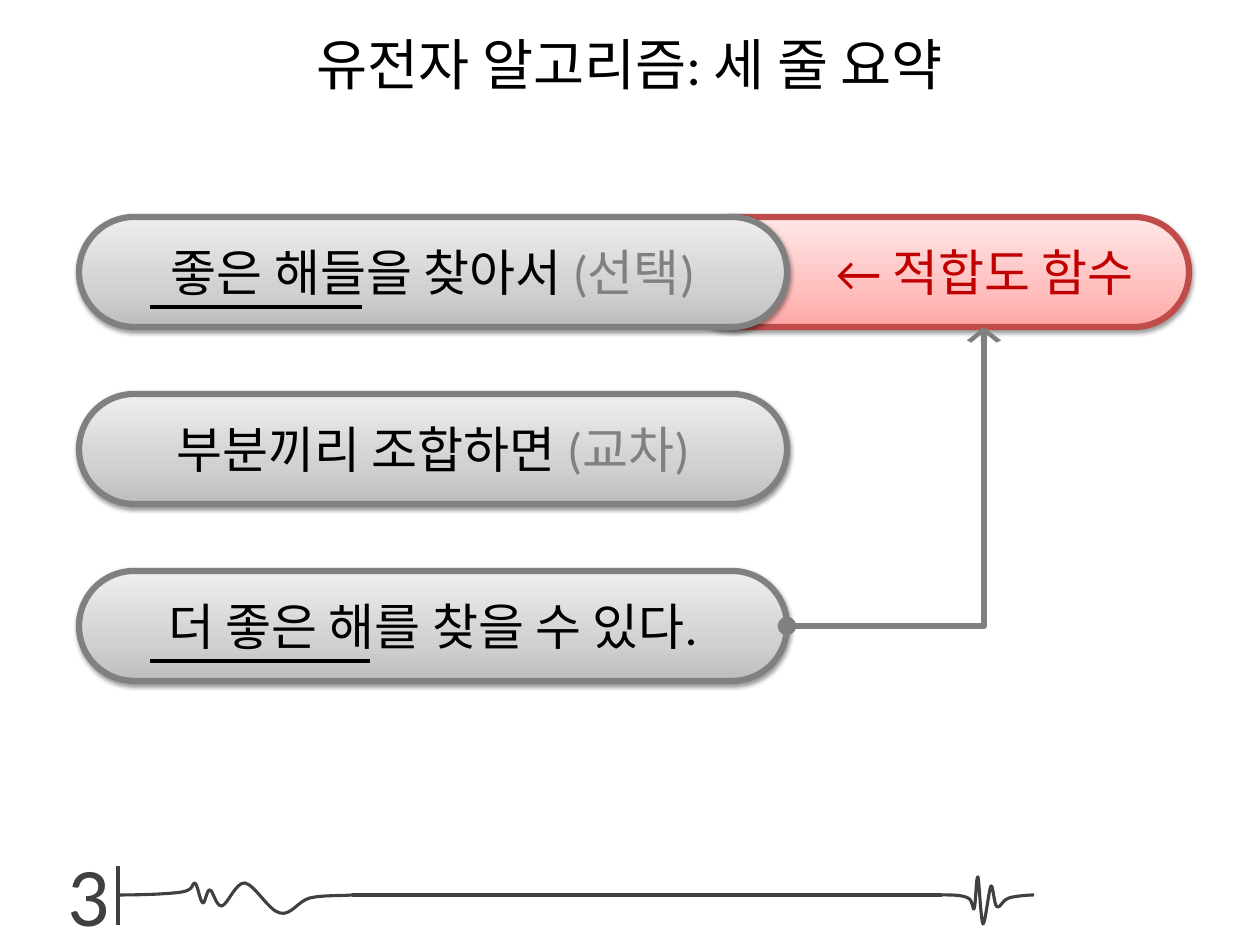
from dataclasses import dataclass

from lxml import etree
from pptx import Presentation
from pptx.dml.color import RGBColor
from pptx.enum.shapes import MSO_CONNECTOR, MSO_SHAPE
from pptx.enum.text import MSO_ANCHOR, PP_ALIGN
from pptx.oxml import parse_xml
from pptx.oxml.ns import nsdecls, qn
from pptx.util import Inches, Pt

STRAIGHT, ELBOW = MSO_CONNECTOR.STRAIGHT, MSO_CONNECTOR.ELBOW
PILL = MSO_SHAPE.ROUNDED_RECTANGLE
MIDDLE, TOP = MSO_ANCHOR.MIDDLE, MSO_ANCHOR.TOP
CENTER, RIGHT = PP_ALIGN.CENTER, PP_ALIGN.RIGHT


@dataclass(frozen=True)
class Theme:
    font: str = "Calibri"
    ink: str = "000000"
    gray: str = "808080"
    red: str = "C00000"
    edge: str = "BF4C48"
    dark: str = "404040"
    silver: tuple = ((0, "BDBDBD"), (35, "D1D1D1"), (100, "EEEEEE"))
    rose: tuple = ((0, "FFA6A5"), (35, "FFC0BF"), (100, "FFE7E7"))
    title: float = 40
    body: float = 36
    page: float = 60
    thin: float = 2.25
    thick: float = 4.5


THEME = Theme()

TITLE = "유전자 알고리즘: 세 줄 요약"
PAGE = "3"
NOTE = [("← 적합도 함수", THEME.red)]
STEPS = [
    [("좋은 해들을 찾아서 ", THEME.ink), ("(선택)", THEME.gray)],
    [("부분끼리 조합하면 ", THEME.ink), ("(교차)", THEME.gray)],
    [("더 좋은 해를 찾을 수 있다.", THEME.ink)],
]
MARKS = [(0, 2.12), (2, 2.2)]
WAVES = [
    [(1.18, 8.95),
     (1.44, 8.95), (1.69, 8.94), (1.82, 8.92), (1.95, 8.9), (1.92, 8.82), (1.95, 8.83),
     (1.98, 8.85), (2, 9.02), (2.03, 9.03), (2.05, 9.04), (2.07, 8.89), (2.1, 8.9),
     (2.13, 8.9), (2.16, 9.07), (2.22, 9.06), (2.28, 9.04), (2.36, 8.82), (2.45, 8.83),
     (2.55, 8.85), (2.69, 9.11), (2.8, 9.13), (2.91, 9.16), (2.98, 9.01), (3.1, 8.98),
     (3.22, 8.95), (3.42, 8.96), (3.52, 8.95)],
    [(9.42, 8.95),
     (9.52, 8.95), (9.62, 8.95), (9.68, 8.98), (9.73, 9), (9.73, 9.12), (9.74, 9.09),
     (9.76, 9.05), (9.76, 8.75), (9.78, 8.77), (9.79, 8.8), (9.81, 9.22), (9.83, 9.24),
     (9.85, 9.25), (9.89, 8.89), (9.91, 8.86), (9.93, 8.84), (9.94, 9.05), (9.97, 9.07),
     (10, 9.09), (10.03, 8.99), (10.09, 8.98), (10.15, 8.96), (10.3, 8.95), (10.34, 8.95)],
]
TIPS = {
    "a:headEnd": {"type": "oval"},
    "a:tailEnd": {"type": "arrow", "w": "lg", "len": "sm"},
}

LEFT, FIRST, PITCH = 0.79, 2.17, 1.77
WIDE, HIGH = 7.08, 1.1
BASE = 8.95


def write(shape, runs, size, align, anchor, pads):
    frame = shape.text_frame
    sides = ("margin_left", "margin_top", "margin_right", "margin_bottom")
    look = dict(zip(sides, map(Inches, pads)), word_wrap=True, vertical_anchor=anchor)
    for name, value in look.items():
        setattr(frame, name, value)
    para = frame.paragraphs[0]
    para.alignment = align
    for text, color in runs:
        run = para.add_run()
        run.text = text
        for name, value in {"name": THEME.font, "size": Pt(size)}.items():
            setattr(run.font, name, value)
        run.font.color.rgb = RGBColor.from_string(color)
        latin = run.font._element.find(qn("a:latin"))
        latin.addnext(parse_xml(f'<a:ea {nsdecls("a")} typeface="{THEME.font}"/>'))


def stroke(shape, color, width):
    shape.line.color.rgb = RGBColor.from_string(color)
    shape.line.width = Pt(width)


def shade(shape, stops):
    shape.fill.solid()
    marks = "".join(
        f'<a:gs pos="{pos * 1000}"><a:srgbClr val="{color}"/></a:gs>' for pos, color in stops)
    props = shape.element.spPr
    props.replace(props.find(qn("a:solidFill")), parse_xml(
        f'<a:gradFill {nsdecls("a")} rotWithShape="1"><a:gsLst>{marks}</a:gsLst>'
        '<a:lin ang="16200000" scaled="0"/></a:gradFill>'))
    shape.shadow.inherit = False
    props.find(qn("a:effectLst")).append(parse_xml(
        f'<a:outerShdw {nsdecls("a")} blurRad="{Pt(3.1)}" dist="{Pt(1.6)}" dir="5400000"'
        ' rotWithShape="0"><a:srgbClr val="000000"><a:alpha val="38000"/></a:srgbClr>'
        '</a:outerShdw>'))


def pill(slide, box, runs, stops, edge, align=CENTER, pad=0):
    shape = slide.shapes.add_shape(PILL, *map(Inches, box))
    shape.adjustments[0] = 0.5
    stroke(shape, edge, THEME.thick)
    shade(shape, stops)
    write(shape, runs, THEME.body, align, MIDDLE, (0, 0, pad, 0))


def join(slide, kind, start, end, color, width):
    line = slide.shapes.add_connector(kind, *map(Inches, start + end))
    stroke(line, color, width)
    etree.SubElement(line.element.spPr, qn("a:effectLst"))
    return line


def bend(shape):
    track = next(shape.element.iter(qn("a:path")))
    legs = track.findall(qn("a:lnTo"))
    for at in range(0, len(legs), 3):
        curve = etree.SubElement(track, qn("a:cubicBezTo"))
        for leg in legs[at:at + 3]:
            curve.append(leg[0])
            track.remove(leg)


def wave(slide, knots):
    dots = [(Inches(x), Inches(y)) for x, y in knots]
    pen = slide.shapes.build_freeform(*dots[0])
    pen.add_line_segments(dots[1:], close=False)
    shape = pen.convert_to_shape()
    bend(shape)
    shape.fill.background()
    shape.shadow.inherit = False
    stroke(shape, THEME.dark, THEME.thin)


def footer(slide):
    page = slide.shapes.add_textbox(*map(Inches, (0, 8.43, 1.1, 1.01)))
    write(page, [(PAGE, THEME.dark)], THEME.page, RIGHT, TOP, (0, 0, 0, 0))
    for knots in WAVES:
        wave(slide, knots)
    for start, end in [((3.52, BASE), (9.42, BASE)), ((1.18, 9.25), (1.18, 8.66))]:
        join(slide, STRAIGHT, start, end, THEME.dark, THEME.thin)


def main():
    deck = Presentation()
    deck.slide_width, deck.slide_height = Inches(12.6), Inches(9.45)
    slide = deck.slides.add_slide(deck.slide_layouts[5])

    title = slide.shapes.title
    spot = {"left": 0.08, "top": 0.08, "width": 12.44, "height": 1.1}
    for name, value in spot.items():
        setattr(title, name, Inches(value))
    write(title, [(TITLE, THEME.ink)], THEME.title, CENTER, MIDDLE, (0.13, 0.06, 0.13, 0.06))

    footer(slide)
    pill(slide, (6.77, FIRST, 5.12, HIGH), NOTE, THEME.rose, THEME.edge, RIGHT, 0.39)
    for row, runs in enumerate(STEPS):
        box = (LEFT, FIRST + row * PITCH, WIDE, HIGH)
        pill(slide, box, runs, THEME.silver, THEME.gray)
    for row, span in MARKS:
        y = FIRST + row * PITCH + 0.9
        join(slide, STRAIGHT, (1.5, y), (1.5 + span, y), THEME.ink, THEME.thin)

    last = FIRST + 2 * PITCH + HIGH / 2
    link = join(slide, ELBOW, (LEFT + WIDE, last), (9.84, FIRST + HIGH),
                THEME.gray, THEME.thick)
    props = link.element.spPr
    props.find(qn("a:prstGeom")).set("prst", "bentConnector2")
    for tag, look in TIPS.items():
        etree.SubElement(props.find(qn("a:ln")), qn(tag), look)

    deck.save("out.pptx")


if __name__ == "__main__":
    main()
